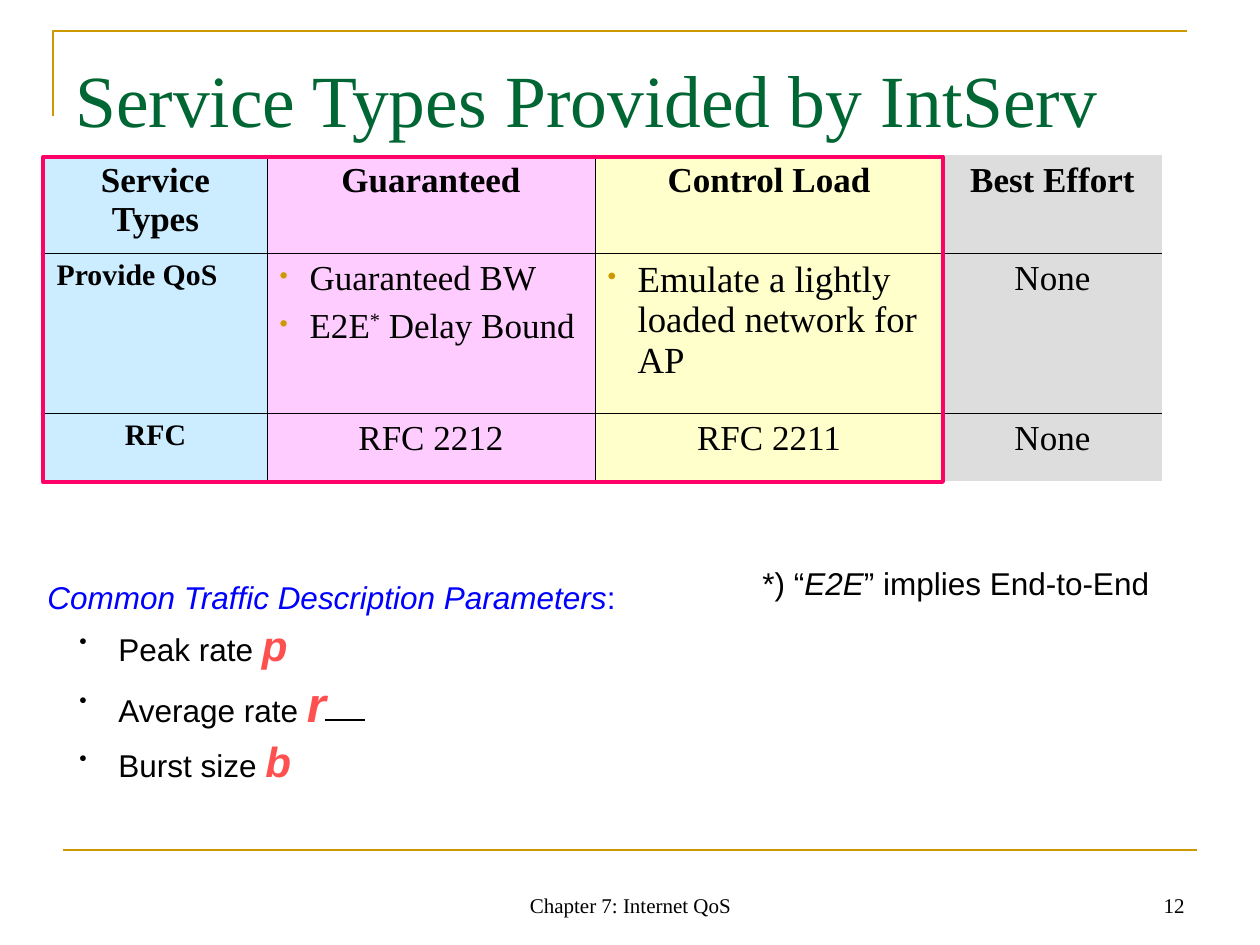
from dataclasses import dataclass
from typing import NamedTuple

from lxml.etree import SubElement
from pptx import Presentation
from pptx.dml.color import RGBColor
from pptx.enum.shapes import MSO_CONNECTOR as Connector, MSO_SHAPE as Preset
from pptx.enum.text import MSO_ANCHOR as Anchor, PP_ALIGN as Align
from pptx.oxml.ns import qn
from pptx.util import Emu, Pt

PX = 914400 / 126


class Box(NamedTuple):
    """A rectangle in px."""
    left: int
    top: int
    width: int
    height: int


@dataclass(frozen=True)
class Theme:
    """Colours, fonts and type sizes of the slide."""
    serif: str = "Times New Roman"
    sans: str = "Arial"
    ink: str = "000000"
    gold: str = "CC9900"
    green: str = "006633"
    blue: str = "0000FF"
    red: str = "FF5050"
    pink: str = "FF0066"
    columns: tuple = ("CCECFF", "FFCCFF", "FFFFCC", "DDDDDD")
    title: int = 42
    cell: int = 20
    emulate: int = 21
    label: int = 17
    body: int = 18
    symbol: int = 24
    big_symbol: int = 28
    footer: int = 12


THEME = Theme()


def px(length):
    """Turn px into EMU."""
    return Emu(round(length * PX))


def rgb(value):
    """Turn a hex string into a colour."""
    return RGBColor.from_string(value)


def write(paragraph, text, size=THEME.cell, color=THEME.ink, font=THEME.serif,
          bold=False, italic=False, raised=False):
    """Add a formatted run to a paragraph."""
    run = paragraph.add_run()
    run.text = text
    run.font.size, run.font.name = Pt(size), font
    run.font.bold, run.font.italic = bold, italic
    run.font.color.rgb = rgb(color)
    if raised:
        run.font._element.set("baseline", "30000")


def add_bullet(paragraph, color, margin, hanging):
    """Give a paragraph a small coloured bullet with a hanging indent."""
    properties = paragraph._p.get_or_add_pPr()
    properties.set("marL", str(px(margin)))
    properties.set("indent", str(-px(hanging)))
    bullet_color = SubElement(properties, qn("a:buClr"))
    SubElement(bullet_color, qn("a:srgbClr"), val=color)
    SubElement(properties, qn("a:buSzPct"), val="70000")
    SubElement(properties, qn("a:buChar"), char="•")


def add_frame(slide, box, wrap=True, anchor=Anchor.TOP):
    """Add a text box and return its text frame."""
    frame = slide.shapes.add_textbox(*map(px, box)).text_frame
    frame.word_wrap, frame.vertical_anchor = wrap, anchor
    return frame


def add_rule(slide, left, top, width, color):
    """Draw a horizontal line."""
    line = slide.shapes.add_connector(
        Connector.STRAIGHT, px(left), px(top), px(left + width), px(top))
    line.line.color.rgb, line.line.width = rgb(color), Pt(1.5)
    SubElement(line._element.spPr, qn("a:effectLst"))


def add_title(slide, box):
    """Place the corner rule and the title."""
    builder = slide.shapes.build_freeform(box.left, box.top + 85, scale=PX)
    builder.add_line_segments(
        [(box.left, box.top), (box.left + box.width, box.top)], close=False)
    corner = builder.convert_to_shape()
    corner.shadow.inherit = False
    corner.fill.background()
    corner.line.color.rgb, corner.line.width = rgb(THEME.gold), Pt(1.5)
    frame = add_frame(slide, Box(box.left + 10, box.top + 7, box.width, box.height))
    frame.margin_top = px(16)
    write(frame.paragraphs[0], "Service Types Provided by IntServ",
          size=THEME.title, color=THEME.green)


def set_borders(cell, **sides):
    """Draw the chosen sides of a cell and clear the others."""
    properties = cell._tc.get_or_add_tcPr()
    for side, visible in sides.items():
        line = SubElement(properties, qn(f"a:ln{side}"), w=str(Pt(0.45)))
        if visible:
            fill = SubElement(line, qn("a:solidFill"))
            SubElement(fill, qn("a:srgbClr"), val=THEME.ink)
        else:
            SubElement(line, qn("a:noFill"))


def fill_bullets(cell, *items, size=THEME.cell):
    """Write bulleted items, each a list of text pieces with the second raised."""
    for index, item in enumerate(items):
        paragraph = cell.text_frame.add_paragraph() if index else cell.text_frame.paragraphs[0]
        add_bullet(paragraph, THEME.gold, 30, 30)
        if index:
            paragraph.space_before = Pt(5)
        for position, text in enumerate(item):
            write(paragraph, text, size=size, raised=position == 1)


def add_service_table(slide, box):
    """Place the table of service types and the frame round its first columns."""
    rows = [["Service Types", "Guaranteed", "Control Load", "Best Effort"],
            ["Provide QoS", None, None, "None"],
            ["RFC", "RFC 2212", "RFC 2211", "None"]]
    widths, heights = (223, 328, 348, 219), (98, 160, 68)
    table = slide.shapes.add_table(len(rows), len(widths), *map(px, box)).table
    table.first_row = table.horz_banding = False
    for column, width in zip(table.columns, widths):
        column.width = px(width)
    for row, height in zip(table.rows, heights):
        row.height = px(height)
    for r, texts in enumerate(rows):
        for c, text in enumerate(texts):
            cell = table.cell(r, c)
            set_borders(cell, L=c > 0, R=c < len(widths) - 1,
                        T=r > 0, B=r < len(rows) - 1)
            cell.fill.solid()
            cell.fill.fore_color.rgb = rgb(THEME.columns[c])
            if text:
                paragraph = cell.text_frame.paragraphs[0]
                paragraph.alignment = Align.LEFT if (r, c) == (1, 0) else Align.CENTER
                write(paragraph, text, bold=r == 0 or c == 0,
                      size=THEME.label if r and c == 0 else THEME.cell)
    fill_bullets(table.cell(1, 1), ["Guaranteed BW"], ["E2E", "*", " Delay Bound"])
    fill_bullets(table.cell(1, 2), ["Emulate a lightly loaded network for AP"],
                 size=THEME.emulate)
    outline = slide.shapes.add_shape(
        Preset.RECTANGLE, px(box.left - 1), px(box.top + 2),
        px(sum(widths[:3]) + 1), px(box.height - 1))
    outline.shadow.inherit = False
    outline.fill.background()
    outline.line.color.rgb, outline.line.width = rgb(THEME.pink), Pt(2.25)


def add_note(slide, box):
    """Place the explanation of the starred term."""
    paragraph = add_frame(slide, box, wrap=False).paragraphs[0]
    for text, italic in (("*) “", False), ("E2E", True), ("” implies End-to-End", False)):
        write(paragraph, text, size=THEME.body, font=THEME.sans, italic=italic)


def add_parameters(slide, box):
    """Place the list of traffic parameters and the blank after the average rate."""
    frame = add_frame(slide, box, wrap=False)
    heading = frame.paragraphs[0]
    for text, italic in (("Common Traffic Description Parameters", True), (":", False)):
        write(heading, text, size=THEME.body, font=THEME.sans,
              color=THEME.blue, italic=italic)
    for label, symbol, size in (("Peak rate ", "p", THEME.symbol),
                                ("Average rate ", "r", THEME.big_symbol),
                                ("Burst size ", "b", THEME.symbol)):
        paragraph = frame.add_paragraph()
        add_bullet(paragraph, THEME.ink, 71, 39)
        paragraph.space_before = Pt(2)
        write(paragraph, label, size=THEME.body, font=THEME.sans)
        write(paragraph, symbol, size=size, font=THEME.sans,
              color=THEME.red, bold=True, italic=True)
    add_rule(slide, box.left + 290, box.top + 148, 40, THEME.ink)


def add_footer(slide, box):
    """Place the bottom rule, the chapter name and the slide number."""
    add_rule(slide, box.left, box.top, box.width, THEME.gold)
    for text, left, width, align in (("Chapter 7: Internet QoS", 368, 399, Align.CENTER),
                                     ("12", 840, 294, Align.RIGHT)):
        area = Box(box.left + left, box.top + 11, width, box.height - 11)
        paragraph = add_frame(slide, area, anchor=Anchor.BOTTOM).paragraphs[0]
        paragraph.alignment = align
        write(paragraph, text, size=THEME.footer)


def main():
    """Build and save the slide."""
    presentation = Presentation()
    presentation.slide_width, presentation.slide_height = px(1260), px(945)
    slide = presentation.slides.add_slide(presentation.slide_layouts[6])
    add_title(slide, Box(53, 31, 1134, 158))
    add_service_table(slide, Box(44, 155, 1118, 326))
    add_note(slide, Box(750, 558, 412, 50))
    add_parameters(slide, Box(35, 572, 596, 210))
    add_footer(slide, Box(63, 850, 1134, 74))
    presentation.save("out.pptx")


if __name__ == "__main__":
    main()
